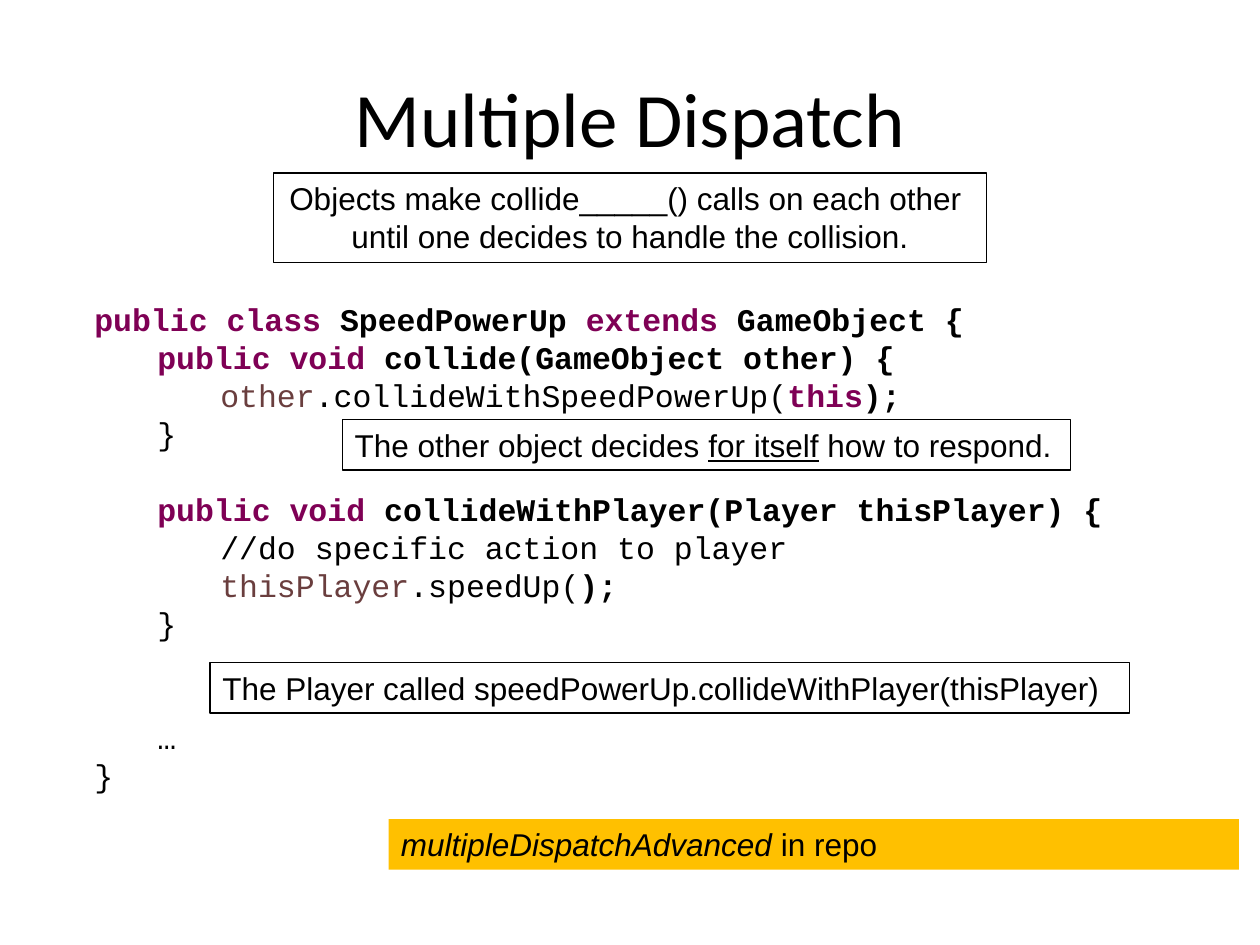
from dataclasses import dataclass

from pptx import Presentation
from pptx.dml.color import RGBColor
from pptx.enum.shapes import MSO_SHAPE
from pptx.enum.text import MSO_ANCHOR, PP_ALIGN
from pptx.util import Pt

RECT = MSO_SHAPE.RECTANGLE
TOP, MIDDLE = MSO_ANCHOR.TOP, MSO_ANCHOR.MIDDLE
LEFT, CENTER = PP_ALIGN.LEFT, PP_ALIGN.CENTER


@dataclass(frozen=True)
class Theme:
    black: str = "000000"
    purple: str = "7F0055"
    brown: str = "6A3E3E"
    gold: str = "FFC000"
    head: str = "Calibri"
    body: str = "Arial"
    mono: str = "Courier New"
    big: float = 44
    small: float = 18
    pitch: float = 21.7
    rule: float = 0.75


THEME = Theme()
PLAIN = {}
BOLD = {"bold": True}
KEY = {"bold": True, "color": THEME.purple}
NAME = {"color": THEME.brown}

# Each line: tab depth, empty lines above, runs
CODE = [
    (0, 0, [("public class ", KEY), ("SpeedPowerUp ", BOLD),
            ("extends ", KEY), ("GameObject {", BOLD)]),
    (1, 0, [("public void", KEY), (" collide(GameObject other) {", BOLD)]),
    (2, 0, [("other", NAME), (".collideWithSpeedPowerUp(", PLAIN),
            ("this", KEY), (");", BOLD)]),
    (1, 0, [("}", PLAIN)]),
    (1, 1, [("public void ", KEY),
            ("collideWithPlayer(Player thisPlayer) {", BOLD)]),
    (2, 0, [("//do specific action to player", PLAIN)]),
    (2, 0, [("thisPlayer", NAME), (".speedUp(", PLAIN), (");", BOLD)]),
    (1, 0, [("}", PLAIN)]),
    (1, 2, [("…", PLAIN)]),
    (0, 0, [("}", PLAIN)]),
]


class Deck:
    def __init__(self, theme):
        self.theme = theme
        self.prs = Presentation()
        self.prs.slide_width, self.prs.slide_height = Pt(720), Pt(540)
        self.slide = self.prs.slides.add_slide(self.prs.slide_layouts[5])

    def add_runs(self, para, runs, font, size):
        for text, style in runs:
            run = para.add_run()
            run.text = text
            form = {"name": font, "size": Pt(size), **style}
            color = form.pop("color", self.theme.black)
            for key, value in form.items():
                setattr(run.font, key, value)
            run.font.color.rgb = RGBColor.from_string(color)

    def add_lines(self, frame, lines, font, align=LEFT):
        """Add (empty lines above, runs) pairs, one paragraph each."""
        frame.word_wrap = True
        frame.vertical_anchor = TOP
        pitch = self.theme.pitch
        for i, (gap, runs) in enumerate(lines):
            para = frame.add_paragraph() if i else frame.paragraphs[0]
            para.alignment = align
            para.line_spacing = Pt(pitch)
            if gap:
                para.space_before = Pt(gap * pitch)
            self.add_runs(para, runs, font, self.theme.small)

    def title(self, text, *box):
        head = self.slide.shapes.title
        head.left, head.top, head.width, head.height = map(Pt, box)
        head.text_frame.vertical_anchor = MIDDLE
        para = head.text_frame.paragraphs[0]
        para.alignment = CENTER
        self.add_runs(para, [(text, PLAIN)], self.theme.head, self.theme.big)

    def code(self, lines, *box):
        area = self.slide.shapes.add_textbox(*map(Pt, box))
        rows = [(gap, [("\t" * depth + runs[0][0], runs[0][1]), *runs[1:]])
                for depth, gap, runs in lines]
        self.add_lines(area.text_frame, rows, self.theme.mono)

    def note(self, lines, *box, fill=None, align=LEFT):
        """Add a filled bar, or an outlined box when there is no fill."""
        shape = self.slide.shapes.add_shape(RECT, *map(Pt, box))
        shape.shadow.inherit = False
        if fill:
            shape.fill.solid()
            shape.fill.fore_color.rgb = RGBColor.from_string(fill)
            shape.line.fill.background()
        else:
            shape.fill.background()
            shape.line.color.rgb = RGBColor.from_string(self.theme.black)
            shape.line.width = Pt(self.theme.rule)
        rows = [(0, runs) for runs in lines]
        self.add_lines(shape.text_frame, rows, self.theme.body, align)


def main():
    deck = Deck(THEME)
    deck.title("Multiple Dispatch", 36, 21.6, 648, 90)
    deck.code(CODE, 46.8, 167.8, 671.8, 312.5)
    deck.note([[("multipleDispatchAdvanced", {"italic": True}),
                (" in repo", PLAIN)]],
              222, 468, 486, 29, fill=THEME.gold)
    deck.note([[("The other object decides ", PLAIN),
                ("for itself", {"underline": True}),
                (" how to respond.", PLAIN)]],
              195.6, 239.6, 416.2, 29)
    deck.note([[("The Player called "
                 "speedPowerUp.collideWithPlayer(thisPlayer)", PLAIN)]],
              120, 378.5, 525.6, 29)
    deck.note([[("Objects make collide_____() calls on each other ", PLAIN)],
               [("until one decides to handle the collision.", PLAIN)]],
              156.2, 98.9, 407.5, 51, align=CENTER)
    deck.prs.save("out.pptx")


if __name__ == "__main__":
    main()
